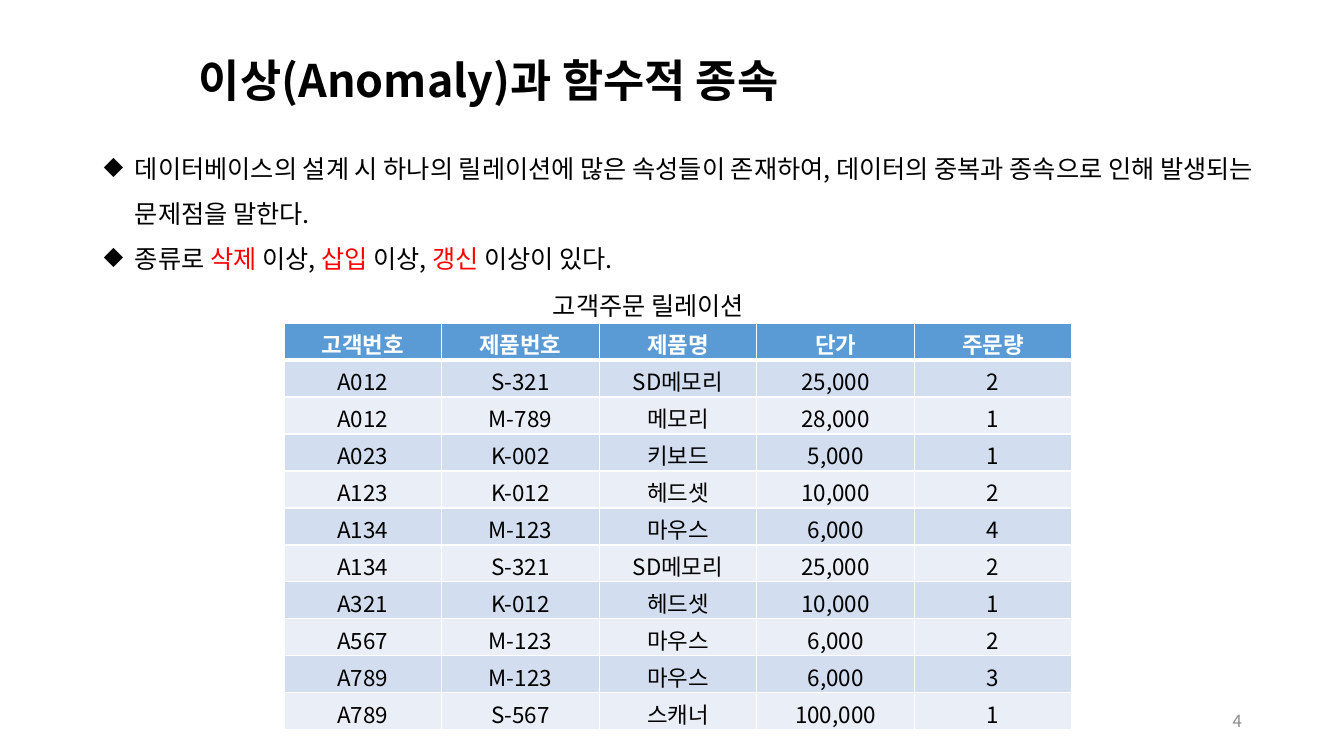
from lxml.etree import SubElement
from pptx import Presentation
from pptx.dml.color import RGBColor
from pptx.enum.text import MSO_ANCHOR, PP_ALIGN
from pptx.oxml.ns import qn
from pptx.util import Emu, Pt

FONT = "Noto Sans CJK KR"
PIXEL = 914400 / 100.8
BLACK = RGBColor(0x00, 0x00, 0x00)
WHITE = RGBColor(0xFF, 0xFF, 0xFF)
RED = RGBColor(0xFF, 0x00, 0x00)
GREY = RGBColor(0x8C, 0x8C, 0x8C)
HEADER_BLUE = RGBColor(0x5B, 0x9B, 0xD5)
BAND_DARK = RGBColor(0xD2, 0xDE, 0xEF)
BAND_LIGHT = RGBColor(0xEA, 0xEF, 0xF7)


def pixels(length):
    return Emu(round(length * PIXEL))


class SlideBuilder:
    """Draw styled elements on the current slide."""

    def __init__(self, slide):
        self.slide = slide

    def style(self, paragraph, size, color=BLACK, bold=False, align=PP_ALIGN.LEFT):
        paragraph.alignment = align
        font = paragraph.font
        font.size = Pt(size)
        font.bold = bold
        font.color.rgb = color
        font.name = FONT
        properties = paragraph._p.pPr.find(qn("a:defRPr"))
        SubElement(properties, qn("a:ea"), typeface=FONT)

    def frame(self, box, anchor=MSO_ANCHOR.TOP):
        shape = self.slide.shapes.add_textbox(*map(pixels, box))
        shape.text_frame.word_wrap = True
        shape.text_frame.vertical_anchor = anchor
        return shape.text_frame

    def text(self, box, content, size, anchor=MSO_ANCHOR.TOP, spacing=1.0, **style):
        paragraph = self.frame(box, anchor).paragraphs[0]
        paragraph.text = content
        paragraph.line_spacing = spacing
        self.style(paragraph, size, **style)

    def bullets(self, box, items, size, indent):
        frame = self.frame(box)
        for index, runs in enumerate(items):
            paragraph = frame.add_paragraph() if index else frame.paragraphs[0]
            paragraph.line_spacing = 1.5
            properties = paragraph._p.get_or_add_pPr()
            properties.set("marL", str(pixels(indent)))
            properties.set("indent", str(-pixels(indent)))
            SubElement(properties, qn("a:buChar"), char="◆")
            self.style(paragraph, size)
            for content, color in runs:
                run = paragraph.add_run()
                run.text = content
                run.font.color.rgb = color

    def borders(self, cell, top, bottom):
        properties = cell._tc.get_or_add_tcPr()
        widths = {"lnL": 1, "lnR": 1, "lnT": top, "lnB": bottom}
        for index, (side, width) in enumerate(widths.items()):
            line = SubElement(properties, qn("a:" + side), w=str(Pt(width)))
            fill = SubElement(line, qn("a:solidFill"))
            SubElement(fill, qn("a:srgbClr"), val=str(WHITE))
            properties.insert(index, line)

    def table(self, box, rows, size):
        shape = self.slide.shapes.add_table(len(rows), len(rows[0]), *map(pixels, box))
        for row, values in enumerate(rows):
            header = row == 0
            band = BAND_DARK if row % 2 else BAND_LIGHT
            for column, value in enumerate(values):
                cell = shape.table.cell(row, column)
                cell.text = value
                cell.fill.solid()
                cell.fill.fore_color.rgb = HEADER_BLUE if header else band
                self.borders(cell, 3 if row == 1 else 1, 3 if header else 1)
                self.style(cell.text_frame.paragraphs[0], size,
                           WHITE if header else BLACK, header, PP_ALIGN.CENTER)


ANOMALY_POINTS = [
    [("데이터베이스의 설계 시 하나의 릴레이션에 많은 속성들이 존재하여, "
      "데이터의 중복과 종속으로 인해 발생되는 문제점을 말한다.", BLACK)],
    [("종류로 ", BLACK), ("삭제 ", RED), ("이상, ", BLACK), ("삽입", RED),
     (" 이상, ", BLACK), ("갱신", RED), (" 이상이 있다.", BLACK)],
]
CUSTOMER_ORDERS = [
    ("고객번호", "제품번호", "제품명", "단가", "주문량"),
    ("A012", "S-321", "SD메모리", "25,000", "2"),
    ("A012", "M-789", "메모리", "28,000", "1"),
    ("A023", "K-002", "키보드", "5,000", "1"),
    ("A123", "K-012", "헤드셋", "10,000", "2"),
    ("A134", "M-123", "마우스", "6,000", "4"),
    ("A134", "S-321", "SD메모리", "25,000", "2"),
    ("A321", "K-012", "헤드셋", "10,000", "1"),
    ("A567", "M-123", "마우스", "6,000", "2"),
    ("A789", "M-123", "마우스", "6,000", "3"),
    ("A789", "S-567", "스캐너", "100,000", "1"),
]

presentation = Presentation()
presentation.slide_width = pixels(1344)
presentation.slide_height = pixels(756)
builder = SlideBuilder(presentation.slides.add_slide(presentation.slide_layouts[6]))

builder.text((189, 33, 987, 100), "이상(Anomaly)과 함수적 종속", 32,
             MSO_ANCHOR.MIDDLE, 0.9, bold=True)
builder.bullets((94, 133, 1177, 178), ANOMALY_POINTS, 18, 31)
builder.table((284, 323, 788, 406), CUSTOMER_ORDERS, 16)
builder.text((950, 701, 302, 40), "4", 12, MSO_ANCHOR.MIDDLE,
             color=GREY, align=PP_ALIGN.RIGHT)
builder.text((543, 285, 269, 40), "고객주문 릴레이션", 18)

presentation.save("out.pptx")
